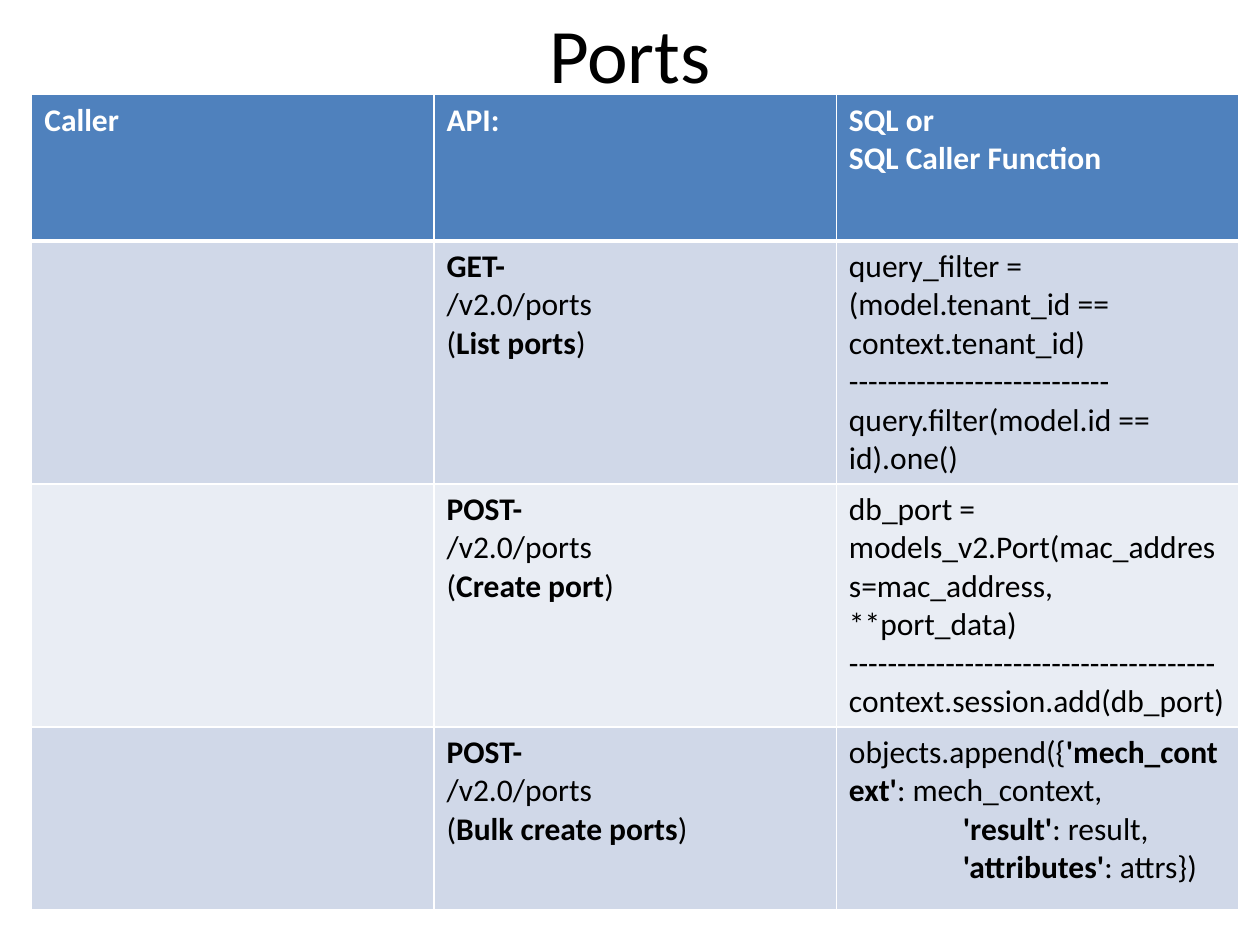
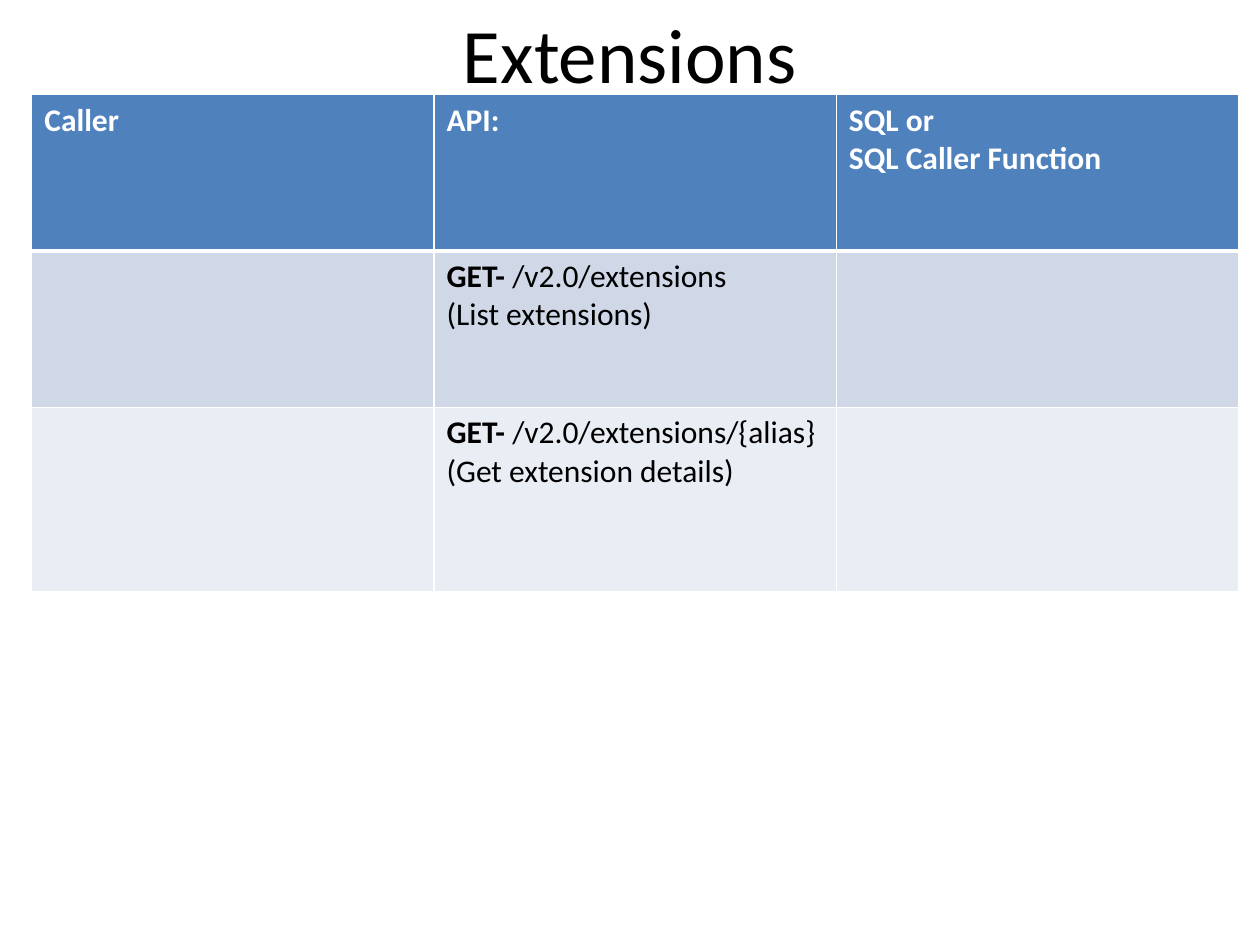
"""Build two slides that list network API calls and the SQL behind them."""
import pptx
import pptx.dml.color
import pptx.enum.text
import pptx.oxml
import pptx.oxml.ns
import pptx.util

Cm = pptx.util.Cm
Pt = pptx.util.Pt
FONT = "Calibri"
BLACK, WHITE, BLUE = "000000", "FFFFFF", "4F81BD"
BANDS = ["E9EDF4", "D0D8E8"]
HEAD = [["|Caller"], ["|API:"], ["|SQL or", "|SQL Caller Function"]]
INDENT = " " * 16

PAGES = [
    ("Ports", [2.95, 4.9, 4.9, 3.68], [
        HEAD,
        [[], ["|GET-", "/v2.0/ports", "(|List ports|)"],
         ["query_filter = (model.tenant_id == context.tenant_id)",
          "-" * 27,
          "query.filter(model.id == id).one()"]],
        [[], ["|POST-", "/v2.0/ports", "(|Create port|)"],
         ["db_port = models_v2.Port(mac_address=mac_address, **port_data)",
          "-" * 38 + "\ncontext.session.add(db_port)"]],
        [[], ["|POST-", "/v2.0/ports", "(|Bulk create ports|)"],
         ["objects.append({|'mech_context'|: mech_context,\n"
          + INDENT + "|'result'|: result,\n"
          + INDENT + "|'attributes'|: attrs})"]],
    ]),
    ("Extensions", [3.15, 3.15, 3.71], [
        HEAD,
        [[], ["|GET- |/v2.0/extensions", "(List extensions)"], []],
        [[], ["|GET- |/v2.0/extensions/{alias}", "(Get extension details)"], []],
    ]),
]


def paint(hue):
    return pptx.dml.color.RGBColor.from_string(hue)


def write(frame, lines, size, hue):
    """Fill a frame with paragraphs; each bar in a line toggles bold."""
    for i, line in enumerate(lines):
        para = frame.paragraphs[0] if i == 0 else frame.add_paragraph()
        for j, part in enumerate(line.split("|")):
            for k, text in enumerate(part.split("\n")):
                if k:
                    para.add_line_break()
                if text:
                    run = para.add_run()
                    run.text = text
                    run.font.name = FONT
                    run.font.size = Pt(size)
                    run.font.bold = j % 2 == 1
                    run.font.color.rgb = paint(hue)


deck = pptx.Presentation()
deck.slide_width, deck.slide_height = Cm(25.4), Cm(19.05)

for name, highs, rows in PAGES:
    slide = deck.slides.add_slide(deck.slide_layouts[6])
    title = slide.shapes.add_textbox(Cm(1.27), Cm(0), Cm(22.86), Cm(2.12))
    frame = title.text_frame
    frame.word_wrap = True
    frame.vertical_anchor = pptx.enum.text.MSO_ANCHOR.MIDDLE
    write(frame, [name], 44, BLACK)
    frame.paragraphs[0].alignment = pptx.enum.text.PP_ALIGN.CENTER

    grid = slide.shapes.add_table(
        len(rows), len(HEAD), Cm(0.64), Cm(1.91), Cm(24.33), Cm(sum(highs))).table
    for r, row in enumerate(rows):
        grid.rows[r].height = Cm(highs[r])
        for c, lines in enumerate(row):
            cell = grid.cell(r, c)
            cell.fill.solid()
            cell.fill.fore_color.rgb = paint(BANDS[r % 2] if r else BLUE)
            write(cell.text_frame, lines, 18, BLACK if r else WHITE)
            props = cell._tc.get_or_add_tcPr()
            for n, side in enumerate("LRTB"):
                thick = (side == "B" and r == 0) or (side == "T" and r == 1)
                props.insert(n, pptx.oxml.parse_xml(
                    f'<a:ln{side} {pptx.oxml.ns.nsdecls("a")} w="{Pt(3 if thick else 1)}">'
                    f'<a:solidFill><a:srgbClr val="{WHITE}"/></a:solidFill></a:ln{side}>'))

deck.save("out.pptx")
